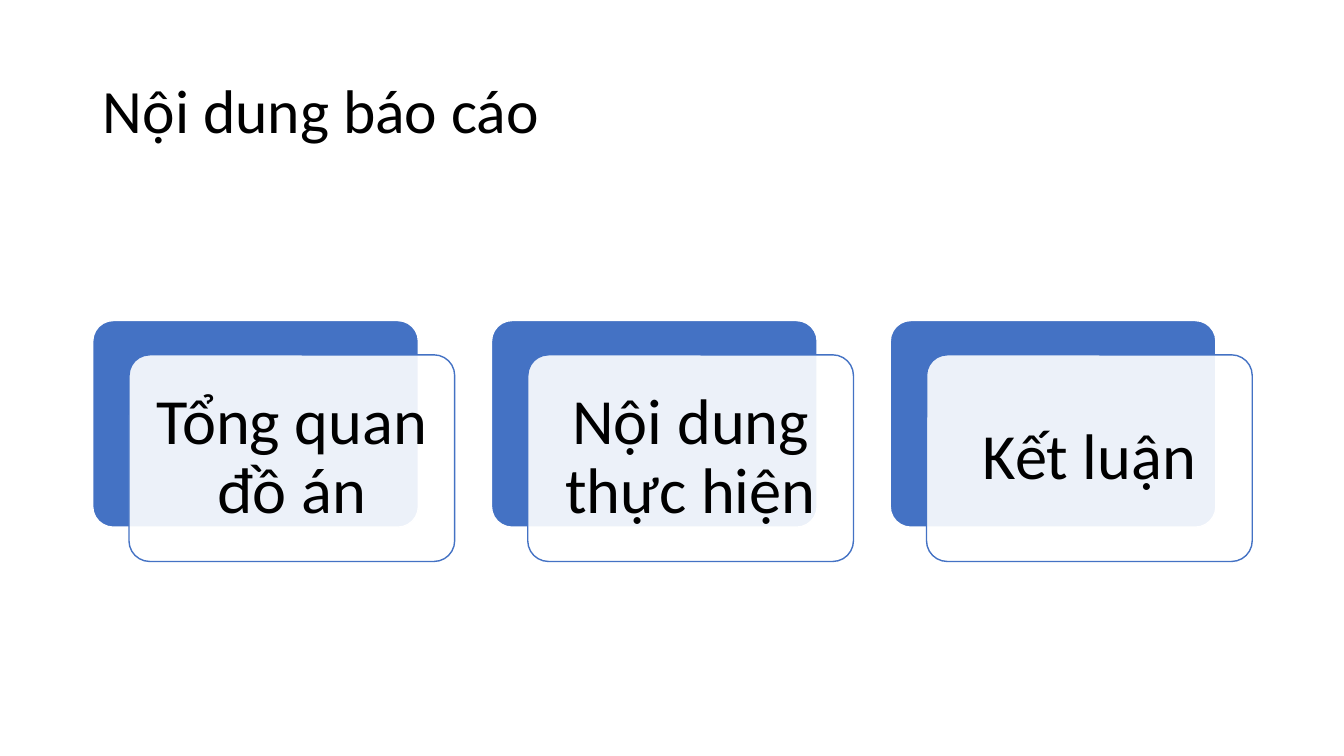
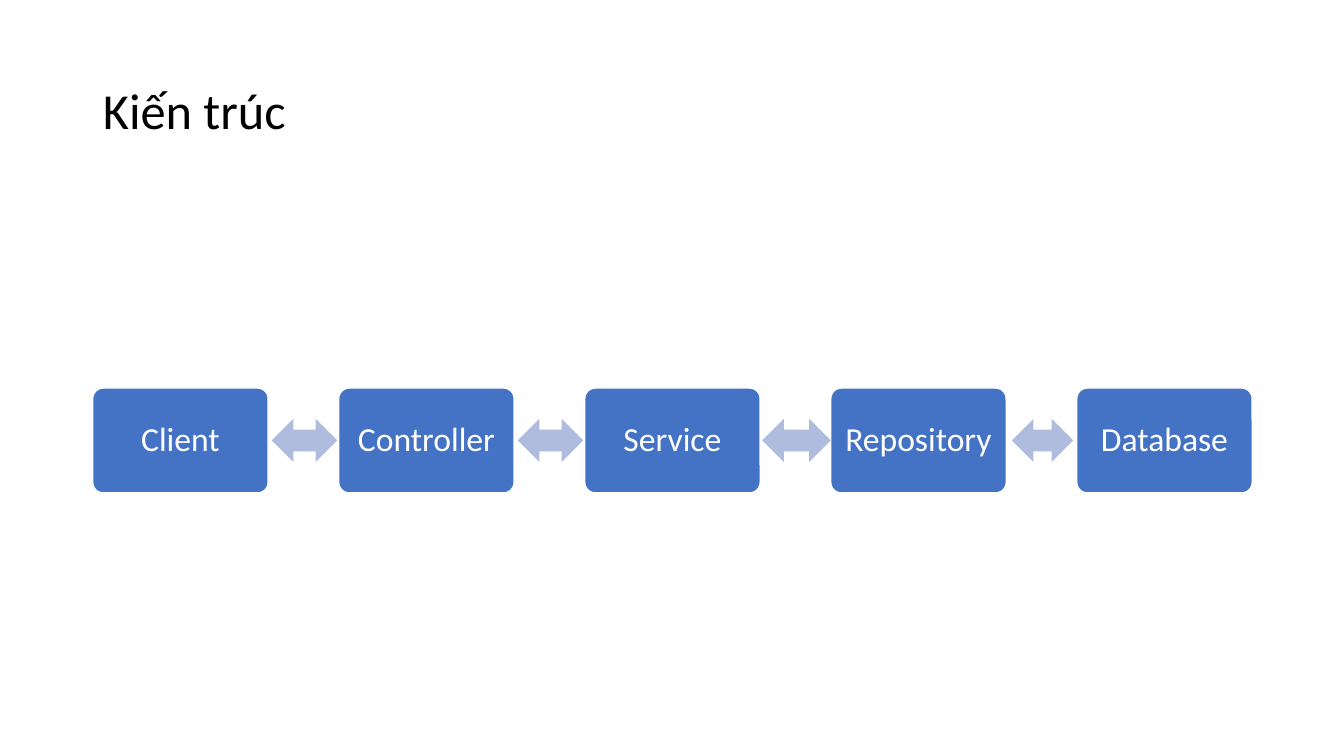
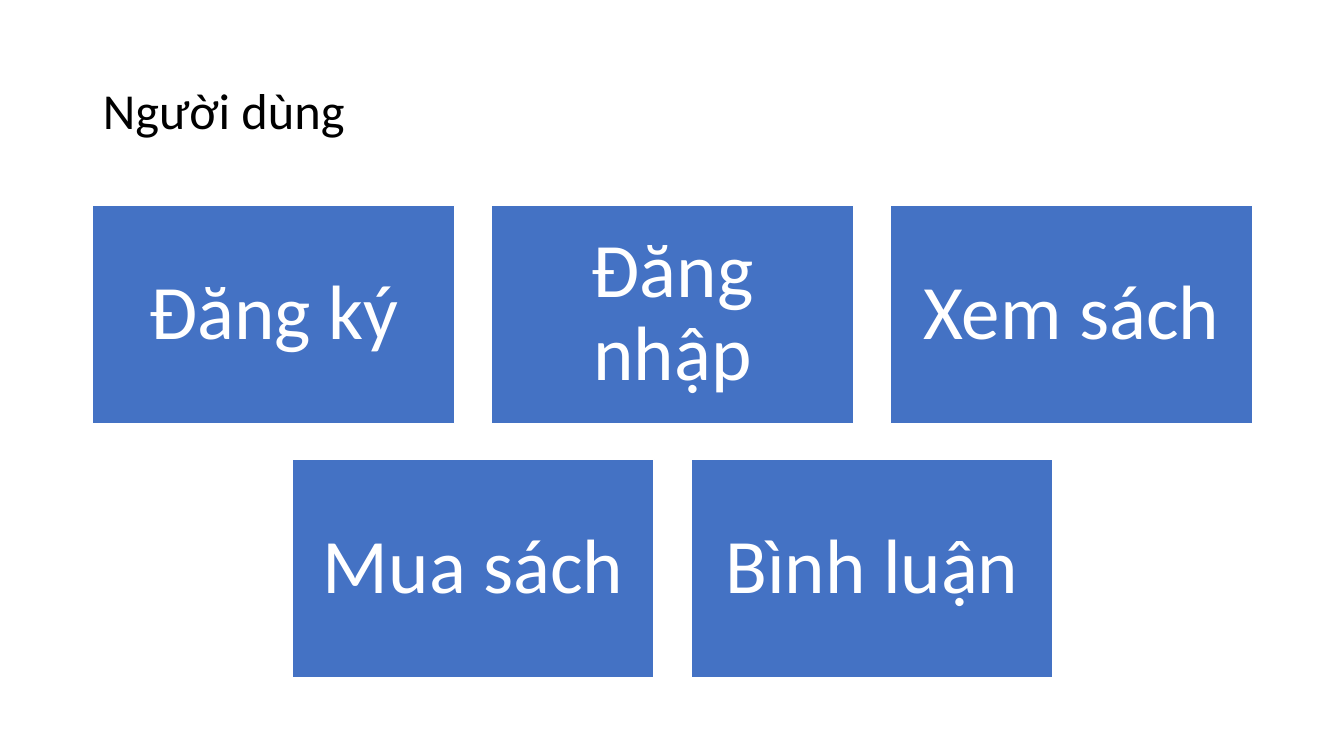
"""Build three slides: report contents, architecture and user functions."""
from lxml.etree import SubElement
from pptx import Presentation
from pptx.dml.color import RGBColor
from pptx.enum.shapes import MSO_SHAPE
from pptx.enum.text import MSO_ANCHOR, MSO_AUTO_SIZE, PP_ALIGN
from pptx.oxml.ns import qn
from pptx.util import Inches, Pt

COLORS = {"blue": "4472C4", "arrow": "B0BCDE", "white": "FFFFFF", "black": "000000"}
FONT = "Calibri"
SLIDE_WIDTH, SLIDE_HEIGHT = 13.33, 7.5
MARGIN, CONTENT_WIDTH = 0.92, 11.5
TITLE_TOP, TITLE_HEIGHT = 0.4, 1.45
COLUMN_WIDTH, COLUMN_COUNT = 3.59, 3

CONTENTS = {
    "title": "Nội dung báo cáo",
    "cards": ["Tổng quan đồ án", "Nội dung thực hiện", "Kết luận"],
}
ARCHITECTURE = {
    "title": "Kiến trúc",
    "layers": ["Client", "Controller", "Service", "Repository", "Database"],
    "arrow_widths": [0.65, 0.65, 0.68, 0.61],
}
USER = {
    "title": "Người dùng",
    "rows": [["Đăng ký", "Đăng nhập", "Xem sách"], ["Mua sách", "Bình luận"]],
}


def color(name):
    """Return the palette colour of that name."""
    return RGBColor.from_string(COLORS[name])


def pitch_of(width, count):
    """Return the step between items that fill the content width."""
    return (CONTENT_WIDTH - width) / (count - 1)


def centred_lefts(count, width, pitch):
    """Return the left edges of a row centred in the content width."""
    first = MARGIN + (CONTENT_WIDTH - width - (count - 1) * pitch) / 2
    return [first + index * pitch for index in range(count)]


def write_text(shape, text, size, color_name="white", align=PP_ALIGN.CENTER, inset=None):
    """Write one formatted paragraph, vertically centred, into a shape."""
    frame = shape.text_frame
    frame.word_wrap = True
    frame.auto_size = MSO_AUTO_SIZE.NONE
    frame.vertical_anchor = MSO_ANCHOR.MIDDLE
    if inset is not None:
        frame.margin_left = frame.margin_right = Inches(inset)
        frame.margin_top = frame.margin_bottom = Inches(inset)
    paragraph = frame.paragraphs[0]
    paragraph.alignment = align
    paragraph.line_spacing = 0.9
    run = paragraph.add_run()
    run.text = text
    run.font.name = FONT
    run.font.size = Pt(size)
    run.font.color.rgb = color(color_name)


def add_block(slide, kind, left, top, width, height, fill="blue", line="white", opacity=None):
    """Add a filled preset shape without a shadow."""
    shape = slide.shapes.add_shape(
        kind, Inches(left), Inches(top), Inches(width), Inches(height))
    shape.shadow.inherit = False
    shape.fill.solid()
    shape.fill.fore_color.rgb = color(fill)
    if opacity is not None:
        fill_color = shape.fill._xPr.find(qn("a:solidFill"))[0]
        SubElement(fill_color, qn("a:alpha")).set("val", str(opacity * 1000))
    if line:
        shape.line.color.rgb = color(line)
        shape.line.width = Pt(1)
    else:
        shape.line.fill.background()
    if kind == MSO_SHAPE.ROUNDED_RECTANGLE:
        shape.adjustments[0] = 0.1
    return shape


def add_titled_slide(presentation, title, size=36):
    """Add a title-only slide with the shared title style."""
    slide = presentation.slides.add_slide(presentation.slide_layouts[5])
    placeholder = slide.shapes.title
    placeholder.left, placeholder.top = Inches(MARGIN), Inches(TITLE_TOP)
    placeholder.width, placeholder.height = Inches(CONTENT_WIDTH), Inches(TITLE_HEIGHT)
    write_text(placeholder, title, size, color_name="black", align=PP_ALIGN.LEFT)
    return slide


def build_contents(presentation):
    """Draw the row of layered cards."""
    slide = add_titled_slide(presentation, CONTENTS["title"], size=44)
    top, height, shift_x, shift_y = 3.18, 2.05, 0.36, 0.34
    width = COLUMN_WIDTH - shift_x
    pitch = pitch_of(COLUMN_WIDTH, COLUMN_COUNT)
    lefts = centred_lefts(len(CONTENTS["cards"]), COLUMN_WIDTH, pitch)
    for left, text in zip(lefts, CONTENTS["cards"]):
        add_block(slide, MSO_SHAPE.ROUNDED_RECTANGLE, left, top, width, height)
        card = add_block(slide, MSO_SHAPE.ROUNDED_RECTANGLE, left + shift_x, top + shift_y,
                         width, height, fill="white", line="blue", opacity=90)
        write_text(card, text, 46, color_name="black", inset=0.19)


def build_architecture(presentation):
    """Draw the chain of layers with double arrows in the gaps."""
    slide = add_titled_slide(presentation, ARCHITECTURE["title"])
    layers = ARCHITECTURE["layers"]
    top, width, height, arrow_height = 3.85, 1.74, 1.04, 0.43
    pitch = pitch_of(width, len(layers))
    lefts = centred_lefts(len(layers), width, pitch)
    for left, text in zip(lefts, layers):
        box = add_block(slide, MSO_SHAPE.ROUNDED_RECTANGLE, left, top, width, height)
        write_text(box, text, 24, inset=0.1)
    for left, arrow_width in zip(lefts, ARCHITECTURE["arrow_widths"]):
        gap_centre = left + (width + pitch) / 2 + 0.01
        add_block(slide, MSO_SHAPE.LEFT_RIGHT_ARROW, gap_centre - arrow_width / 2,
                  top + (height - arrow_height) / 2, arrow_width, arrow_height,
                  fill="arrow", line=None)


def build_user(presentation):
    """Draw the centred rows of function tiles."""
    slide = add_titled_slide(presentation, USER["title"])
    top, height, row_pitch = 2.04, 2.16, 2.52
    pitch = pitch_of(COLUMN_WIDTH, COLUMN_COUNT)
    for row, texts in enumerate(USER["rows"]):
        for left, text in zip(centred_lefts(len(texts), COLUMN_WIDTH, pitch), texts):
            tile = add_block(slide, MSO_SHAPE.RECTANGLE, left, top + row * row_pitch,
                             COLUMN_WIDTH, height)
            write_text(tile, text, 55, inset=0.23)


def main():
    """Build and save the presentation."""
    presentation = Presentation()
    presentation.slide_width = Inches(SLIDE_WIDTH)
    presentation.slide_height = Inches(SLIDE_HEIGHT)
    build_contents(presentation)
    build_architecture(presentation)
    build_user(presentation)
    presentation.save("out.pptx")


if __name__ == "__main__":
    main()
